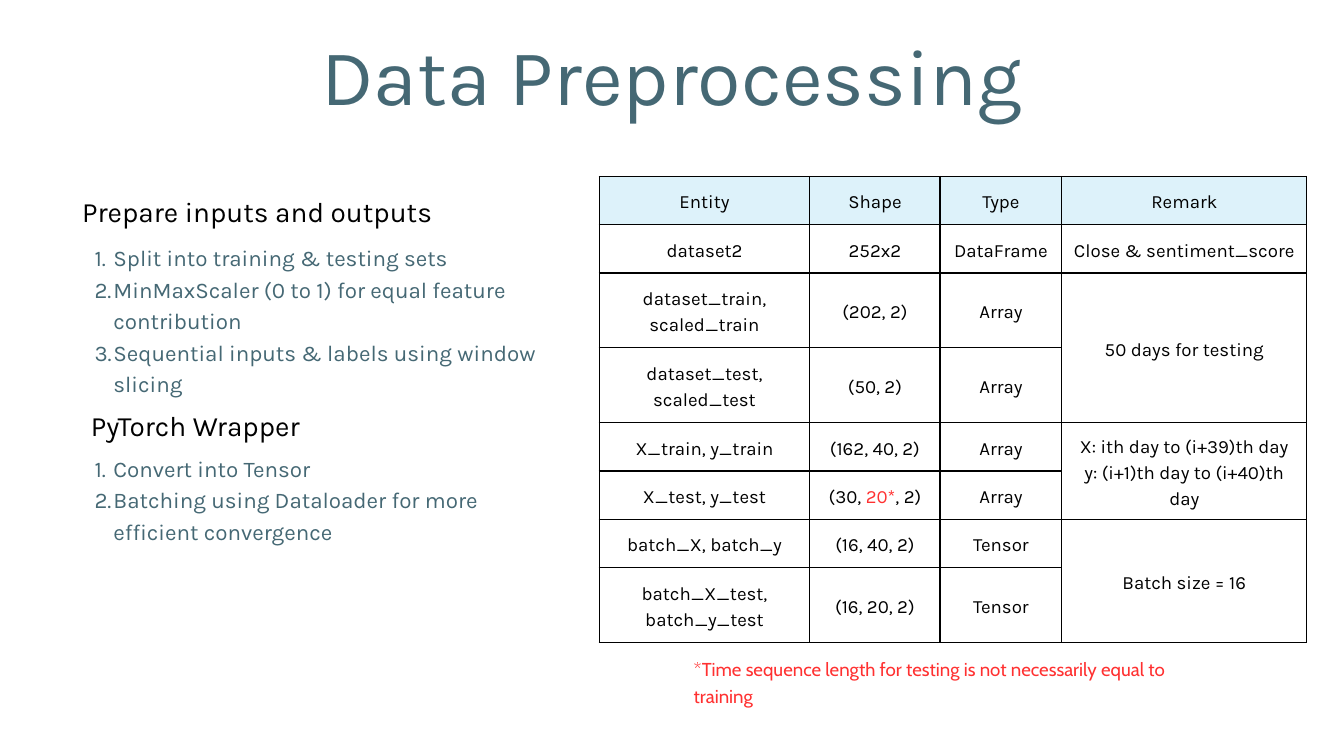
import dataclasses

import pptx
import pptx.dml.color
import pptx.enum.text
import pptx.oxml
import pptx.oxml.ns
import pptx.util

PX = 9525  # EMU per px; the slide is 1920 x 1080 px
BLACK, SLATE, RED, PALE_BLUE = "000000", "456874", "FF3131", "DDF2FA"
ALIGN = pptx.enum.text.PP_ALIGN


@dataclasses.dataclass(frozen=True)
class Style:
    size: int
    line_pt: float
    color: str
    font: str = "Karla"
    align: ALIGN = ALIGN.LEFT
    numbered: bool = False


@dataclasses.dataclass(frozen=True)
class Block:
    left: int
    top: int
    width: int
    height: int
    style: Style
    lines: tuple[str, ...]


@dataclasses.dataclass(frozen=True)
class Remark:
    first_row: int
    last_row: int
    lines: tuple[str, ...]


TITLE = Style(85, 93.5, SLATE, align=ALIGN.CENTER)
HEADING = Style(30, 42, BLACK, align=ALIGN.CENTER)
STEPS = Style(24, 33.6, SLATE, numbered=True)
FOOTNOTE = Style(20, 28, RED, font="Cabin")
CELL = Style(20, 28, BLACK, align=ALIGN.CENTER)

BLOCKS = [
    Block(171, 49, 1578, 127, TITLE, ("Data Preprocessing",)),
    Block(108, 343, 668, 219, STEPS, (
        "Split into training & testing sets",
        "MinMaxScaler (0 to 1) for equal feature contribution",
        "Sequential inputs & labels using window slicing")),
    Block(108, 270, 519, 54, HEADING, ("Prepare inputs and outputs",)),
    Block(36, 576, 486, 54, HEADING, ("PyTorch Wrapper",)),
    Block(108, 644, 668, 131, STEPS, (
        "Convert into Tensor",
        "Batching using Dataloader for more efficient convergence")),
    Block(991, 935, 741, 36, FOOTNOTE, (
        "*Time sequence length for testing is not necessarily equal to training",)),
]

TABLE_LEFT, TABLE_TOP = 856, 252
COLUMN_WIDTHS = [301, 186, 174, 350]
ONE_LINE, TWO_LINES = 69, 107
ROW_HEIGHTS = [ONE_LINE, ONE_LINE, TWO_LINES, TWO_LINES,
               ONE_LINE, ONE_LINE, ONE_LINE, TWO_LINES]
ENTITIES = [
    ("Entity", "Shape", "Type"),
    ("dataset2", "252x2", "DataFrame"),
    ("dataset_train, scaled_train", "(202, 2)", "Array"),
    ("dataset_test, scaled_test", "(50, 2)", "Array"),
    ("X_train, y_train", "(162, 40, 2)", "Array"),
    ("X_test, y_test", "(30, 20*, 2)", "Array"),
    ("batch_X, batch_y", "(16, 40, 2)", "Tensor"),
    ("batch_X_test, batch_y_test", "(16, 20, 2)", "Tensor"),
]
REMARKS = [
    Remark(0, 0, ("Remark",)),
    Remark(1, 1, ("Close & sentiment_score",)),
    Remark(2, 3, ("50 days for testing",)),
    Remark(4, 5, ("X: ith day to (i+39)th day", "y: (i+1)th day to (i+40)th day")),
    Remark(6, 7, ("Batch size = 16",)),
]
MARKED = "20*"  # the value the footnote refers to


def px(length: int) -> int:
    return pptx.util.Emu(length * PX)


def rgb(color: str) -> pptx.dml.color.RGBColor:
    return pptx.dml.color.RGBColor.from_string(color)


def number(paragraph) -> None:
    paragraph.level = 1
    properties = paragraph._p.get_or_add_pPr()
    properties.set("marL", str(px(54)))
    properties.set("indent", str(px(-27)))
    properties.append(pptx.oxml.parse_xml(
        f'<a:buAutoNum {pptx.oxml.ns.nsdecls("a")} type="arabicPeriod"/>'))


def write(frame, lines: tuple[str, ...], style: Style) -> None:
    for index, line in enumerate(lines):
        paragraph = frame.paragraphs[0] if index == 0 else frame.add_paragraph()
        paragraph.alignment = style.align
        paragraph.line_spacing = pptx.util.Pt(style.line_pt)
        paragraph.font.size = pptx.util.Pt(style.size)
        paragraph.font.name = style.font
        paragraph.font.color.rgb = rgb(style.color)
        if style.numbered:
            number(paragraph)
        for part in line.partition(MARKED):
            if part:
                run = paragraph.add_run()
                run.text = part
                # Run fonts keep their look in every viewer
                run.font.size = pptx.util.Pt(style.size)
                run.font.name = style.font
                run.font.color.rgb = rgb(RED if part == MARKED else style.color)


def add_block(slide, block: Block) -> None:
    box = slide.shapes.add_textbox(
        px(block.left), px(block.top), px(block.width), px(block.height))
    frame = box.text_frame
    frame.word_wrap = True
    frame.auto_size = pptx.enum.text.MSO_AUTO_SIZE.SHAPE_TO_FIT_TEXT
    frame.margin_left = frame.margin_right = 0
    frame.margin_top = frame.margin_bottom = 0
    write(frame, block.lines, block.style)


def format_cell(cell, fill: str | None) -> None:
    cell.vertical_anchor = pptx.enum.text.MSO_ANCHOR.MIDDLE
    cell.margin_left = cell.margin_right = px(13)
    cell.margin_top = cell.margin_bottom = px(13)
    if fill:
        cell.fill.solid()
        cell.fill.fore_color.rgb = rgb(fill)
    else:
        cell.fill.background()
    properties = cell._tc.get_or_add_tcPr()
    for index, side in enumerate("LRTB"):
        properties.insert(index, pptx.oxml.parse_xml(
            f'<a:ln{side} {pptx.oxml.ns.nsdecls("a")} w="{pptx.util.Pt(1.5)}">'
            f'<a:solidFill><a:srgbClr val="{BLACK}"/></a:solidFill></a:ln{side}>'))


def add_entity_table(slide) -> None:
    entities = slide.shapes.add_table(
        len(ROW_HEIGHTS), len(COLUMN_WIDTHS), px(TABLE_LEFT), px(TABLE_TOP),
        px(sum(COLUMN_WIDTHS)), px(sum(ROW_HEIGHTS))).table
    entities.first_row = entities.horz_banding = False
    for column, width in zip(entities.columns, COLUMN_WIDTHS):
        column.width = px(width)
    for row_index, (row, height) in enumerate(zip(entities.rows, ROW_HEIGHTS)):
        row.height = px(height)
        for cell in row.cells:
            format_cell(cell, PALE_BLUE if row_index == 0 else None)

    # Entity, shape and type
    for row_index, values in enumerate(ENTITIES):
        for column_index, value in enumerate(values):
            write(entities.cell(row_index, column_index).text_frame, (value,), CELL)

    # Remarks, some shared by two rows
    remark_column = len(COLUMN_WIDTHS) - 1
    for remark in REMARKS:
        cell = entities.cell(remark.first_row, remark_column)
        if remark.last_row > remark.first_row:
            cell.merge(entities.cell(remark.last_row, remark_column))
        write(cell.text_frame, remark.lines, CELL)


def main() -> None:
    presentation = pptx.Presentation()
    presentation.slide_width, presentation.slide_height = px(1920), px(1080)
    slide = presentation.slides.add_slide(presentation.slide_layouts[6])
    add_entity_table(slide)
    for block in BLOCKS:
        add_block(slide, block)
    presentation.save("out.pptx")


if __name__ == "__main__":
    main()
